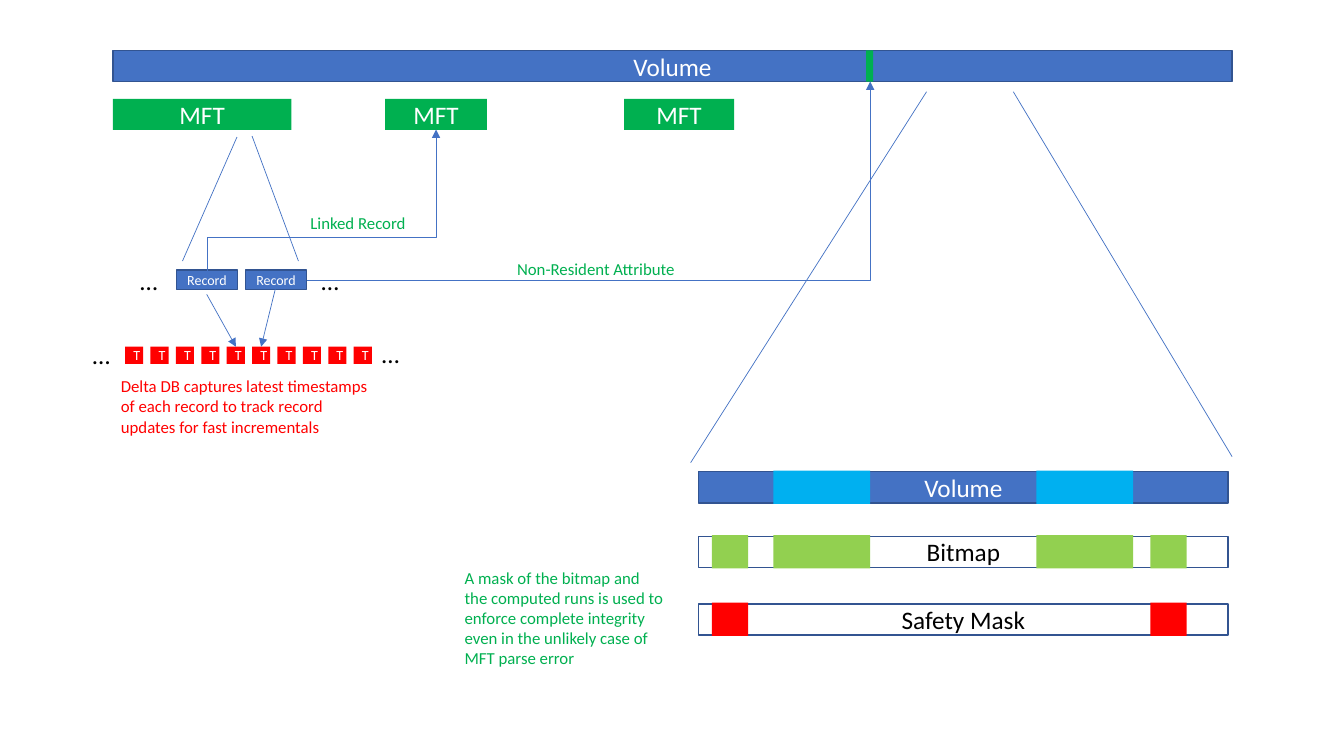
from dataclasses import dataclass
from typing import Optional

from lxml.etree import SubElement
from pptx import Presentation
from pptx.dml.color import RGBColor
from pptx.enum.shapes import MSO_CONNECTOR, MSO_SHAPE
from pptx.enum.text import MSO_ANCHOR, MSO_AUTO_SIZE, PP_ALIGN
from pptx.oxml.ns import qn
from pptx.util import Inches, Pt

BLUE = RGBColor(0x44, 0x72, 0xC4)
NAVY = RGBColor(0x32, 0x54, 0x91)
GREEN = RGBColor(0x00, 0xB0, 0x50)
RED = RGBColor(0xFF, 0x00, 0x00)
SKY = RGBColor(0x00, 0xB0, 0xF0)
LIME = RGBColor(0x92, 0xD0, 0x50)
WHITE = RGBColor(0xFF, 0xFF, 0xFF)
BLACK = RGBColor(0x00, 0x00, 0x00)

CELL = 0.1  # inches per grid column and row
BAR_H = 3.1
Point = tuple[float, float]


@dataclass
class Box:
    col: float
    row: float
    cols: float
    rows: float = BAR_H
    fill: Optional[RGBColor] = None
    line: Optional[RGBColor] = None
    text: str = ""
    size: float = 18
    color: RGBColor = WHITE


@dataclass
class Label:
    col: float
    row: float
    cols: float
    rows: float
    text: str
    size: float = 12
    color: RGBColor = GREEN


@dataclass
class Link:
    begin: Point
    end: Point
    arrow: bool = False
    preset: str = "line"
    turn: int = 0  # degrees clockwise
    bend: Optional[int] = None  # thousandths of a percent


@dataclass
class Strip:
    row: float
    name: str
    fill: Optional[RGBColor]
    color: RGBColor
    run_fill: RGBColor
    runs: list[Point]  # column and width of each marked run


def grid(*cells: float) -> list[int]:
    return [Inches(c * CELL) for c in cells]


def write(tf, item: Box | Label) -> None:
    p = tf.paragraphs[0]
    if isinstance(item, Box):
        p.alignment = PP_ALIGN.CENTER
    r = p.add_run()
    r.text = item.text
    for name, value in {"name": "Calibri", "size": Pt(item.size)}.items():
        setattr(r.font, name, value)
    r.font.color.rgb = item.color


def draw_box(s, box: Box) -> None:
    sp = s.shapes.add_shape(MSO_SHAPE.RECTANGLE, *grid(box.col, box.row, box.cols, box.rows))
    sp.shadow.inherit = False
    if box.fill is None:
        sp.fill.background()
    else:
        sp.fill.solid()
        sp.fill.fore_color.rgb = box.fill
    if box.line is None:
        sp.line.fill.background()
    else:
        sp.line.color.rgb = box.line
        sp.line.width = Pt(1)
    if box.text:
        sp.text_frame.vertical_anchor = MSO_ANCHOR.MIDDLE
        write(sp.text_frame, box)


def draw_label(s, label: Label) -> None:
    sp = s.shapes.add_textbox(*grid(label.col, label.row, label.cols, label.rows))
    tf = sp.text_frame
    for name, value in {"word_wrap": True, "auto_size": MSO_AUTO_SIZE.SHAPE_TO_FIT_TEXT}.items():
        setattr(tf, name, value)
    write(tf, label)


def draw_link(s, link: Link) -> None:
    cx = s.shapes.add_connector(MSO_CONNECTOR.STRAIGHT, *grid(*link.begin, *link.end))
    cx.line.color.rgb = BLUE
    cx.line.width = Pt(0.5)
    pr = cx._element.spPr
    geom = pr.find(qn("a:prstGeom"))
    geom.set("prst", link.preset)
    if link.turn:
        pr.find(qn("a:xfrm")).set("rot", str(link.turn * 60000))
    if link.bend is not None:
        SubElement(geom.find(qn("a:avLst")), qn("a:gd"), name="adj1", fmla=f"val {link.bend}")
    if link.arrow:
        SubElement(pr.find(qn("a:ln")), qn("a:tailEnd"), type="triangle")
    SubElement(pr, qn("a:effectLst"))


def draw_strip(s, strip: Strip) -> None:
    draw_box(s, Box(69.3, strip.row, 52.5, BAR_H, strip.fill, NAVY, strip.name, 18, strip.color))
    for col, cols in strip.runs:
        draw_box(s, Box(col, strip.row - 0.1, cols, 3.3, strip.run_fill))


# Volume with its file tables, records and timestamps
BOXES = [
    Box(11.2, 5, 111, fill=BLUE, line=NAVY, text="Volume"),
    Box(85.9, 5, 0.7, fill=GREEN),
    *[Box(col, 9.8, cols, fill=GREEN, text="MFT")
      for col, cols in [(11.2, 17.7), (38.2, 10.1), (61.9, 10.9)]],
    *[Box(17.5 + 6.85 * i, 26.8, 6.05, 1.9, BLUE, NAVY, "Record", 10) for i in range(2)],
    *[Box(12.4 + 2.52 * i, 34.4, 1.8, 1.7, RED, text="T", size=10) for i in range(10)],
]

LINKS = [
    # Zoom lines
    Link((23.5, 13.6), (18.1, 25.9)),
    Link((25, 13.5), (29.6, 25.9)),
    Link((91.9, 9.1), (68.5, 45.9)),
    Link((100.5, 9.1), (122.2, 45.3)),
    # Record to timestamp
    Link((27.3, 28.7), (25.9, 34.4), True),
    Link((20.5, 29.2), (23.4, 34.4), True),
    # Record to volume, record to second file table
    Link((30.4, 27.8), (86.3, 8.1), True, "bentConnector2"),
    Link((38.9, 31.2), (24.9, 8.5), True, "bentConnector3", 90, 23600),
]

LABELS = [
    *[Label(col, row, 5.2, 4, "…", 18, BLACK)
      for col, row in [(12.9, 25.8), (30.9, 25.8), (8.2, 33.2), (36.9, 33.1)]],
    Label(50.3, 25.2, 23.2, 3, "Non-Resident Attribute"),
    Label(29.8, 20.6, 23.2, 3, "Linked Record"),
    Label(11, 36.8, 27.2, 7.1, "Delta DB captures latest timestamps of each record "
          "to track record updates for fast incrementals", color=RED),
    Label(45.1, 55.8, 22, 11.1, "A mask of the bitmap and the computed runs is used to enforce "
          "complete integrity even in the unlikely case of MFT parse error"),
]

# Enlarged volume and its masks
WIDE_RUNS = [(76.7, 9.6), (102.8, 9.6)]
EDGE_RUNS = [(70.6, 3.6), (114.1, 3.6)]
STRIPS = [
    Strip(46.8, "Volume", BLUE, WHITE, SKY, WIDE_RUNS),
    Strip(53.2, "Bitmap", None, BLACK, LIME, WIDE_RUNS + EDGE_RUNS),
    Strip(59.9, "Safety Mask", None, BLACK, RED, EDGE_RUNS),
]


def main() -> None:
    prs = Presentation()
    prs.slide_width, prs.slide_height = Inches(13.33), Inches(7.5)
    s = prs.slides.add_slide(prs.slide_layouts[6])
    for draw, items in [(draw_box, BOXES), (draw_link, LINKS),
                        (draw_label, LABELS), (draw_strip, STRIPS)]:
        for item in items:
            draw(s, item)
    prs.save("out.pptx")


if __name__ == "__main__":
    main()
